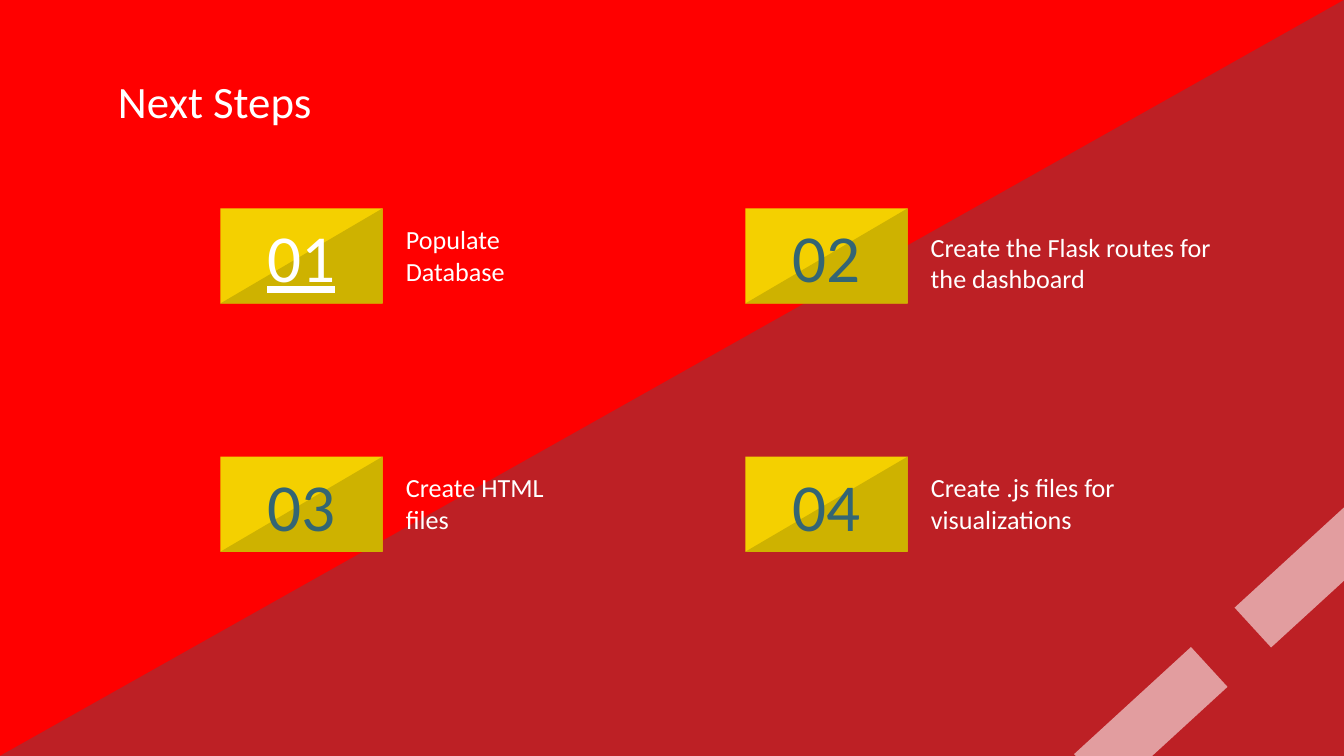
from dataclasses import dataclass

from lxml.etree import SubElement
from pptx import Presentation
from pptx.dml.color import RGBColor
from pptx.enum.shapes import MSO_SHAPE
from pptx.enum.text import MSO_ANCHOR, MSO_AUTO_SIZE, PP_ALIGN
from pptx.oxml.ns import qn
from pptx.util import Pt


@dataclass(frozen=True)
class Theme:
    font: str = "Calibri"
    back: str = "FF0000"
    teal: str = "336574"
    white: str = "FFFFFF"
    gold: str = "F4D000"
    shade: str = "CEB200"
    head: int = 24
    num: int = 36
    body: int = 14
    inset: float = 7.2


THEME = Theme()
STEPS = [
    ("01", "Populate Database"),
    ("02", "Create the Flask routes for the dashboard"),
    ("03", "Create HTML files"),
    ("04", "Create .js files for visualizations"),
]
# Width, height and extra bottom margin of each step's text
NOTES = [(112, 50, 0), (180, 73, 15), (112, 50, 0), (190, 50, 0)]


def place(box):
    return [Pt(n) for n in box]


def add_shape(slide, kind, box, color, alpha=None, flip=False, turn=0):
    shape = slide.shapes.add_shape(kind, *place(box))
    shape.shadow.inherit = False
    shape.line.fill.background()
    shape.fill.solid()
    shape.fill.fore_color.rgb = RGBColor.from_string(color)
    shape.rotation = turn
    if alpha is not None:
        tint = shape.fill._xPr.find(qn("a:solidFill"))[0]
        SubElement(tint, qn("a:alpha")).set("val", str(alpha * 1000))
    if flip:
        shape._element.spPr.find(qn("a:xfrm")).set("flipH", "1")
    return shape


def set_text(shape, text, size, color, align=PP_ALIGN.LEFT, under=None, foot=0):
    frame = shape.text_frame
    frame.text = text
    frame.word_wrap = True
    frame.auto_size = MSO_AUTO_SIZE.NONE
    frame.vertical_anchor = MSO_ANCHOR.MIDDLE
    frame.margin_left = frame.margin_right = frame.margin_top = Pt(THEME.inset)
    frame.margin_bottom = Pt(THEME.inset + foot)
    para = frame.paragraphs[0]
    para.alignment = align
    para.font.name = THEME.font
    para.font.size = Pt(size)
    para.font.color.rgb = RGBColor.from_string(color)
    para.font.underline = under


def add_back(slide, box):
    """Red ground, dark corner and two pale stripes."""
    x, y, w, h = box
    slide.background.fill.solid()
    slide.background.fill.fore_color.rgb = RGBColor.from_string(THEME.back)
    add_shape(slide, MSO_SHAPE.RIGHT_TRIANGLE, box, THEME.teal, 32, flip=True)
    for dx, dy in ((146, 33.5), (60, 112)):
        stripe = (x + w - dx, y + h - dy, 85, 29)
        add_shape(slide, MSO_SHAPE.RECTANGLE, stripe, THEME.white, 56, turn=317.5)


def add_title(slide, box, text):
    title = slide.shapes.title
    title.left, title.top, title.width, title.height = place(box)
    set_text(title, text, THEME.head, THEME.white)
    # Bring the title in front of the ground
    slide.shapes._spTree.append(title._element)


def add_step(slide, box, step, note, first):
    """Gold tile with a number, and its text at the right."""
    x, y, w, h = box
    num, text = step
    wide, high, foot = note
    add_shape(slide, MSO_SHAPE.RECTANGLE, box, THEME.gold)
    add_shape(slide, MSO_SHAPE.RIGHT_TRIANGLE, box, THEME.shade, flip=True)
    label = slide.shapes.add_textbox(*place(box))
    color = THEME.white if first else THEME.teal
    set_text(label, num, THEME.num, color, PP_ALIGN.CENTER, under=first or None)
    body = slide.shapes.add_textbox(*place((x + w + 5.3, y, wide, high)))
    set_text(body, text, THEME.body, THEME.white, foot=foot)


def add_grid(slide, box):
    """Steps in two columns and two rows."""
    x, y, w, h = box
    for i, (step, note) in enumerate(zip(STEPS, NOTES)):
        row, col = divmod(i, 2)
        tile = (x + col * w / 2, y + row * h / 2, 87, 51)
        add_step(slide, tile, step, note, i == 0)


def main():
    deck = Presentation()
    deck.slide_width, deck.slide_height = Pt(720), Pt(405)
    slide = deck.slides.add_slide(deck.slide_layouts[5])
    add_back(slide, (0, 0, 720, 405))
    add_title(slide, (56, 31, 608, 45.5), "Next Steps")
    add_grid(slide, (118, 111.6, 562.5, 266))
    deck.save("out.pptx")


if __name__ == "__main__":
    main()
